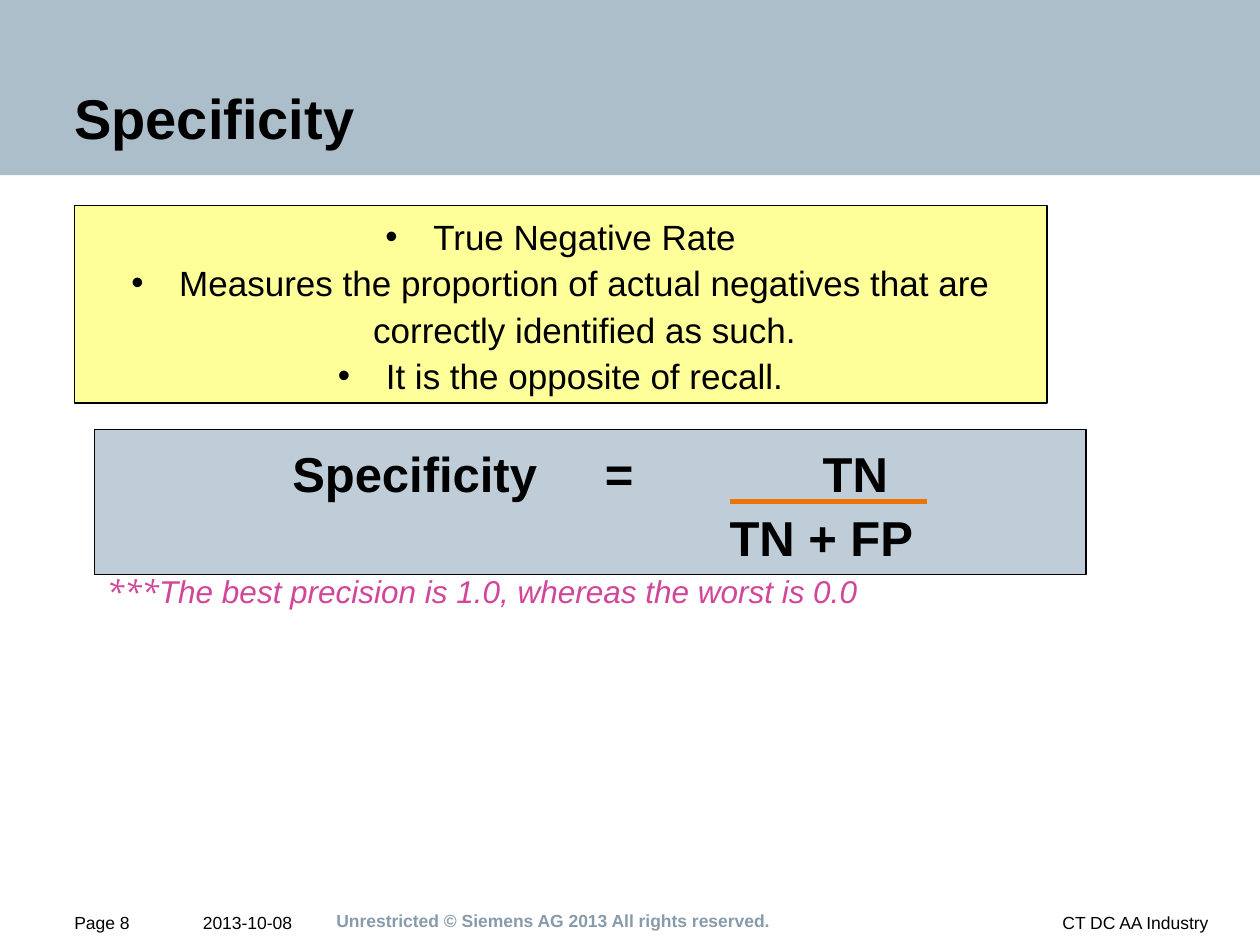
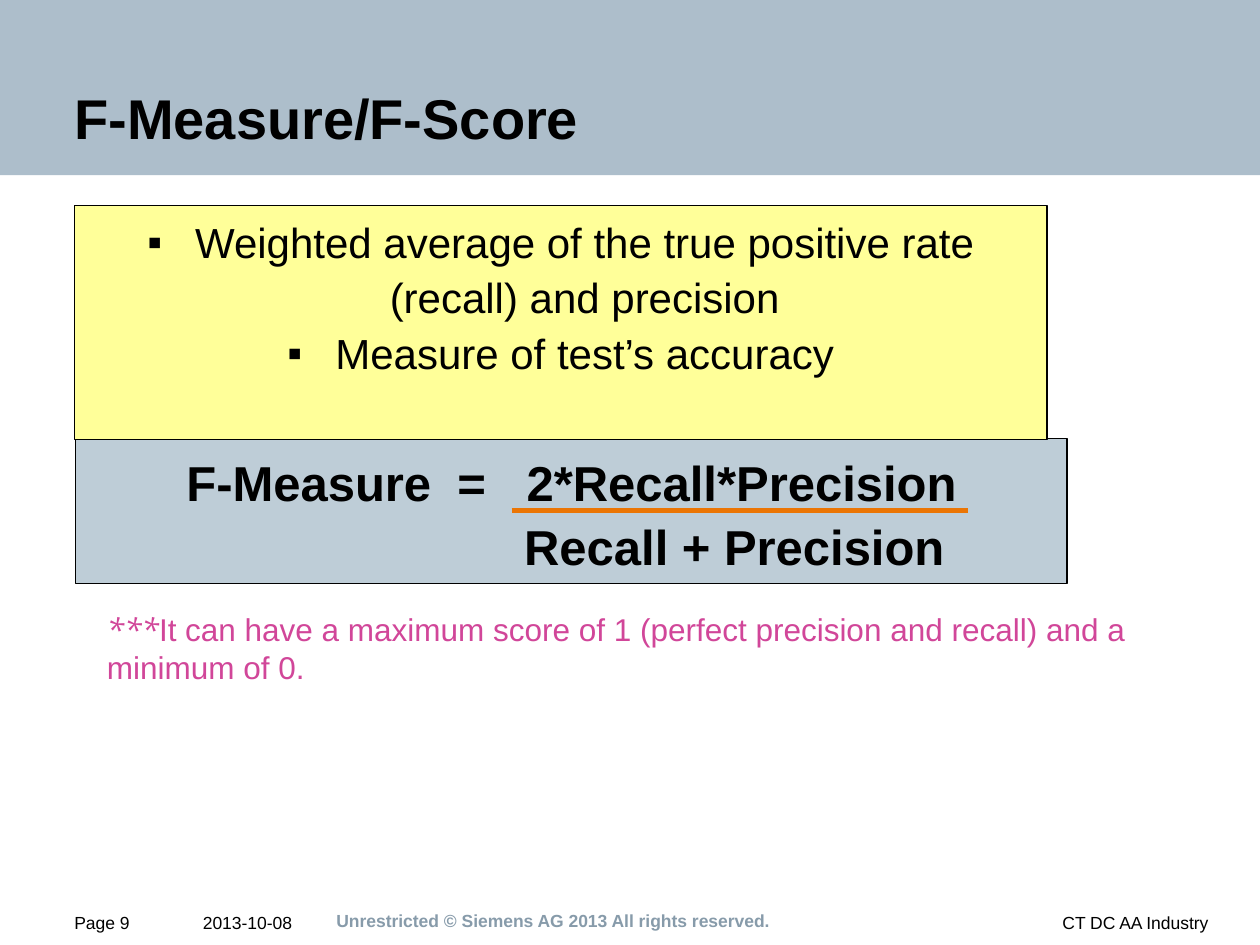
from dataclasses import dataclass
from lxml.etree import SubElement
from pptx import Presentation
from pptx.dml.color import RGBColor
from pptx.enum.shapes import MSO_CONNECTOR as Link, MSO_SHAPE as Shape
from pptx.enum.text import MSO_ANCHOR as Anchor, PP_ALIGN as Align
from pptx.oxml.ns import qn
from pptx.util import Inches, Pt

# Formula columns are distances from the slide's left edge.
SLIDES = [
    dict(
        title="Specificity", page="Page 8",
        bullet="•", size=20, high=1.57,
        points=["True Negative Rate",
                "Measures the proportion of actual negatives that are "
                "correctly identified as such.",
                "It is the opposite of recall."],
        panel=(0.75, 3.41),
        rows=[[(2.32, "Specificity"), (4.8, "="), (6.53, "TN")],
              [(5.79, "TN + FP")]],
        rule=(5.79, 7.36, 3.98),
        note="The best precision is 1.0, whereas the worst is 0.0",
        slant=True, note_top=4.49, note_high=0.4),
    dict(
        title="F-Measure/F-Score", page="Page 9",
        bullet="▪", size=24, high=1.86,
        points=["Weighted average of the true positive rate "
                "(recall) and precision",
                "Measure of test’s accuracy"],
        panel=(0.6, 3.48),
        rows=[[(1.48, "F-Measure"), (3.63, "="), (4.18, "2*Recall*Precision")],
              [(4.16, "Recall + Precision")]],
        rule=(4.06, 7.68, 4.05),
        note="It can have a maximum score of 1 (perfect precision and recall) "
             "and a minimum of 0.",
        slant=False, note_top=4.79, note_high=0.7),
]
DATE = "2013-10-08"
RIGHTS = "Unrestricted © Siemens AG 2013 All rights reserved."
UNIT = "CT DC AA Industry"
STARS = "***"


@dataclass(frozen=True)
class Theme:
    font: str = "Arial"
    star_font: str = "Open Sans"
    ink: str = "000000"
    band: str = "ADBECB"
    panel: str = "BECDD7"
    card: str = "FFFF99"
    rule: str = "EB7504"
    note: str = "D14699"
    muted: str = "879BAA"
    title_size: int = 32
    formula_size: int = 28
    note_size: int = 18
    foot_size: int = 10
    margin: float = 0.59
    leading: float = 1.1


T = Theme()
PAD = (0.1, 0.05, 0.1, 0.05)


def rgb(code):
    return RGBColor.from_string(code)


def style(run, size, color=T.ink, bold=False, italic=False, face=T.font):
    font = run.font
    font.name, font.size = face, Pt(size)
    font.bold, font.italic = bold, italic
    font.color.rgb = rgb(color)


def set_frame(shape, pad, anchor=Anchor.TOP):
    frame = shape.text_frame
    frame.word_wrap = True
    frame.vertical_anchor = anchor
    (frame.margin_left, frame.margin_top,
     frame.margin_right, frame.margin_bottom) = map(Inches, pad)
    return frame


def add_text(slide, box, text, size, pad, anchor=Anchor.TOP,
             align=Align.LEFT, leading=None, **look):
    shape = slide.shapes.add_textbox(*map(Inches, box))
    frame = set_frame(shape, pad, anchor)
    frame.text = text
    para = frame.paragraphs[0]
    para.alignment, para.line_spacing = align, leading
    style(para.runs[0], size, **look)
    return para


def add_rect(slide, box, fill, edged=True):
    shape = slide.shapes.add_shape(Shape.RECTANGLE, *map(Inches, box))
    shape.shadow.inherit = False
    shape.fill.solid()
    shape.fill.fore_color.rgb = rgb(fill)
    if edged:
        shape.line.color.rgb = rgb(T.ink)
        shape.line.width = Pt(0.75)
    else:
        shape.line.fill.background()
    return shape


def add_bullet(para, mark):
    props = para._p.get_or_add_pPr()
    props.set("marL", str(Inches(0.38)))
    props.set("indent", str(-Inches(0.38)))
    tint = SubElement(props, qn("a:buClr"))
    SubElement(tint, qn("a:srgbClr"), val=T.ink)
    SubElement(props, qn("a:buFont"), typeface=T.font)
    SubElement(props, qn("a:buChar"), char=mark)


def add_tabs(para, stops):
    tabs = SubElement(para._p.get_or_add_pPr(), qn("a:tabLst"))
    for stop in stops:
        SubElement(tabs, qn("a:tab"), pos=str(Inches(stop)), algn="l")


def add_base(slide, title, page):
    """Draw the title band and the footer."""
    add_rect(slide, (0, 0, 10, 1.39), T.band, edged=False)
    add_text(slide, (0, 0, 10, 1.38), title, T.title_size,
             (T.margin, 0.43, 2.32, 0.26), Anchor.BOTTOM, bold=True)
    add_text(slide, (2.08, 6.99, 6.46, 0.47), RIGHTS, T.foot_size,
             (T.margin, 0.16, 2.32, 0), Anchor.MIDDLE,
             color=T.muted, bold=True)
    for left, wide, text, start, end, align in (
            (0, 1.37, page, T.margin, 0, Align.LEFT),
            (0, 2.79, DATE, 1.61, 0, Align.LEFT),
            (2.95, 7.05, UNIT, 0, 0.41, Align.RIGHT)):
        add_text(slide, (left, 7.22, wide, 0.28), text, T.foot_size,
                 (start, 0, end, 0.13), align=align, leading=T.leading)


def add_formula(slide, left, top, rows, rule):
    pad = 0.12
    panel = add_rect(slide, (left, top, 7.87, 1.15), T.panel)
    frame = set_frame(panel, (pad, 0.06, pad, 0.06), Anchor.MIDDLE)
    frame.text = "\n".join(
        "".join("\t" + term for _, term in row) for row in rows)
    for para, row in zip(frame.paragraphs, rows):
        para.alignment, para.line_spacing = Align.LEFT, T.leading
        add_tabs(para, [at - left - pad for at, _ in row])
        for run in para.runs:
            style(run, T.formula_size, bold=True)
    start, end, level = map(Inches, rule)
    line = slide.shapes.add_connector(Link.STRAIGHT, start, level, end, level)
    line.line.color.rgb = rgb(T.rule)
    line.line.width = Pt(3)
    SubElement(line._element.spPr, qn("a:effectLst"))


def add_card(slide, high, points, mark, size):
    card = add_rect(slide, (T.margin, 1.63, 7.72, high), T.card)
    frame = set_frame(card, PAD)
    frame.text = "\n".join(points)
    for para in frame.paragraphs:
        para.alignment, para.line_spacing = Align.CENTER, T.leading
        add_bullet(para, mark)
        style(para.runs[0], size)


def add_note(slide, top, high, text, slant):
    para = add_text(slide, (0.75, top, 8.82, high), STARS, T.note_size, PAD,
                    color=T.note, italic=True, face=T.star_font)
    run = para.add_run()
    run.text = text
    style(run, T.note_size, T.note, italic=slant)


def main():
    deck = Presentation()
    deck.slide_width, deck.slide_height = Inches(10), Inches(7.5)
    for data in SLIDES:
        slide = deck.slides.add_slide(deck.slide_layouts[6])
        add_base(slide, data["title"], data["page"])
        add_formula(slide, *data["panel"], data["rows"], data["rule"])
        add_card(slide, data["high"], data["points"],
                 data["bullet"], data["size"])
        add_note(slide, data["note_top"], data["note_high"],
                 data["note"], data["slant"])
    deck.save("out.pptx")


if __name__ == "__main__":
    main()
